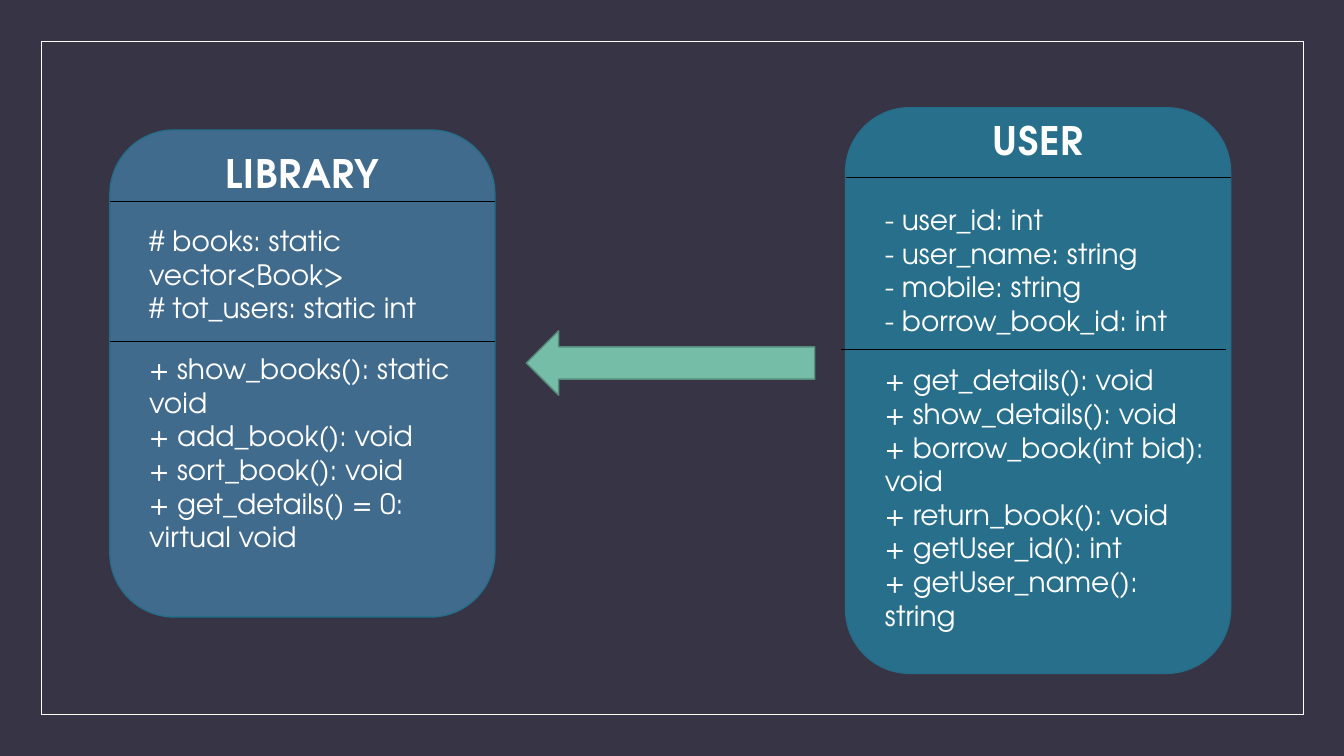
import pptx
import pptx.util
import pptx.dml.color
import pptx.enum.shapes
import pptx.enum.text
import pptx.oxml
import pptx.oxml.ns
from lxml import etree

Pt = pptx.util.Pt
SHAPES = pptx.enum.shapes.MSO_SHAPE

# Content: title, attributes and methods of each class, with (top, height) per part
CLASSES = [
    dict(left=78.5, top=92.9, height=347.8, fill="416B8D",
         title=("LIBRARY", 103, 41),
         attributes=(["# books: static vector<Book>", "# tot_users: static int"],
                     156.2, 80),
         methods=(["+ show_books(): static void", "+ add_book(): void",
                   "+ sort_book(): void", "+ get_details() = 0: virtual void"],
                  247.7, 152.6),
         dividers=[(0, 144), (0, 244)]),
    dict(left=604, top=77, height=404, fill="276F8B",
         title=("USER", 79.2, 47.5),
         attributes=(["- user_id: int", "- user_name: string",
                      "- mobile: string", "- borrow_book_id: int"],
                     141.1, 121),
         methods=(["+ get_details(): void", "+ show_details(): void",
                   "+ borrow_book(int bid): void", "+ return_book(): void",
                   "+ getUser_id(): int", "+ getUser_name(): string"],
                  255.6, 225.4),
         dividers=[(0, 126.8), (-3, 249.5)]),
]
FRAME = (29.5, 29.5, 901.5, 481)
ARROW = (376, 236.3, 206, 46)
CARD_WIDTH, TEXT_INDENT = 275, 21
TITLE_WIDTH, ATTRIBUTES_WIDTH, METHODS_WIDTH = 233.3, 240.5, 247

THEME = dict(
    font="TeX Gyre Adventor", title_size=28, body_size=20,
    background="373545", frame="FFFFFF", card_line="266D8A", divider="000000",
    title="FEFEFE", title_outline="3494BA", body="FFFFFF",
    arrow="75BDA7", arrow_line="578C7C",
)


def rgb(value):
    return pptx.dml.color.RGBColor.from_string(value)


def add_outlined(s, kind, box, line, width, fill=None):
    sp = s.shapes.add_shape(kind, *map(Pt, box))
    sp.shadow.inherit = False
    if fill:
        sp.fill.solid()
        sp.fill.fore_color.rgb = rgb(fill)
    else:
        sp.fill.background()
    sp.line.color.rgb = rgb(line)
    sp.line.width = Pt(width)
    return sp


def add_lines(s, lines, box, size, color, bold=False, align="LEFT"):
    tf = s.shapes.add_textbox(*map(Pt, box)).text_frame
    tf.word_wrap = True
    runs = []
    for i, line in enumerate(lines):
        p = tf.add_paragraph() if i else tf.paragraphs[0]
        p.alignment = getattr(pptx.enum.text.PP_ALIGN, align)
        r = p.add_run()
        r.text = line
        r.font.name = THEME["font"]
        r.font.size = Pt(size)
        r.font.bold = bold
        r.font.color.rgb = rgb(color)
        runs.append(r)
    return runs


def outline_text(r, color):
    props = r.font._element if hasattr(r.font, "_element") else r._r.get_or_add_rPr()
    props.set("spc", "50")
    props.insert(0, pptx.oxml.parse_xml(
        f'<a:ln {pptx.oxml.ns.nsdecls("a")} w="9525"><a:solidFill>'
        f'<a:srgbClr val="{color}"/></a:solidFill></a:ln>'))


def add_divider(s, left, y):
    line = s.shapes.add_connector(pptx.enum.shapes.MSO_CONNECTOR.STRAIGHT,
                                  Pt(left), Pt(y), Pt(left + CARD_WIDTH), Pt(y))
    line.line.color.rgb = rgb(THEME["divider"])
    line.line.width = Pt(0.5)
    etree.SubElement(line._element.spPr, pptx.oxml.ns.qn("a:effectLst"))


def add_class(s, card):
    left = card["left"]
    text_left = left + TEXT_INDENT
    add_outlined(s, SHAPES.ROUNDED_RECTANGLE,
                 (left, card["top"], CARD_WIDTH, card["height"]),
                 THEME["card_line"], 1, card["fill"])

    # Class name
    name, top, height = card["title"]
    r, = add_lines(s, [name], (text_left, top, TITLE_WIDTH, height),
                   THEME["title_size"], THEME["title"], True, "CENTER")
    outline_text(r, THEME["title_outline"])

    # Members
    for part, width in (("attributes", ATTRIBUTES_WIDTH), ("methods", METHODS_WIDTH)):
        lines, top, height = card[part]
        add_lines(s, lines, (text_left, top, width, height),
                  THEME["body_size"], THEME["body"])

    for shift, y in card["dividers"]:
        add_divider(s, left + shift, y)


def main():
    prs = pptx.Presentation()
    prs.slide_width, prs.slide_height = Pt(960), Pt(540)
    s = prs.slides.add_slide(prs.slide_layouts[6])
    s.background.fill.solid()
    s.background.fill.fore_color.rgb = rgb(THEME["background"])

    # Frame and class cards
    add_outlined(s, SHAPES.RECTANGLE, FRAME, THEME["frame"], 0.5)
    for card in CLASSES:
        add_class(s, card)

    # Arrow from user to library
    arrow = add_outlined(s, SHAPES.RIGHT_ARROW, ARROW, THEME["arrow_line"], 1,
                         THEME["arrow"])
    arrow.rotation = 180
    prs.save("out.pptx")


if __name__ == "__main__":
    main()
